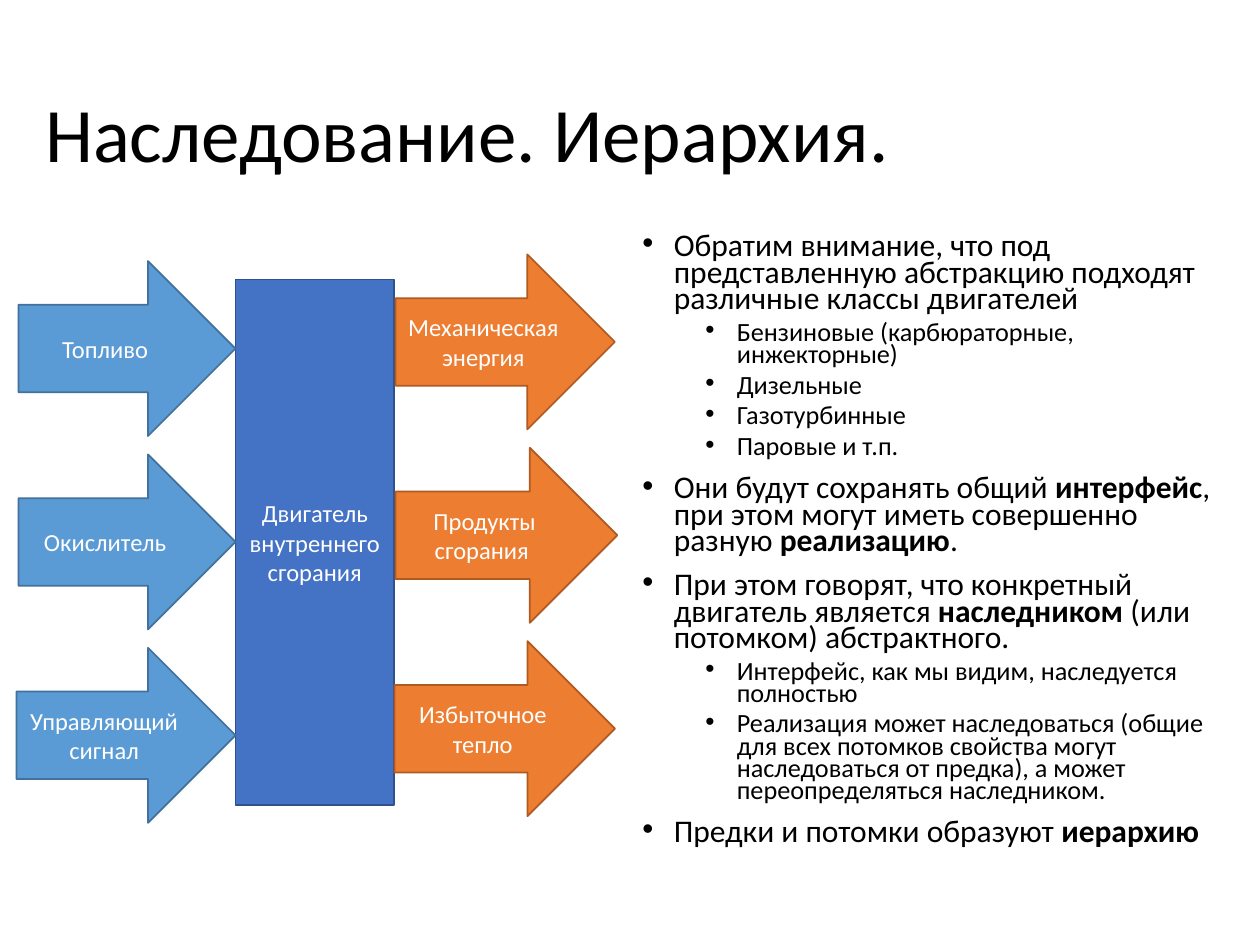
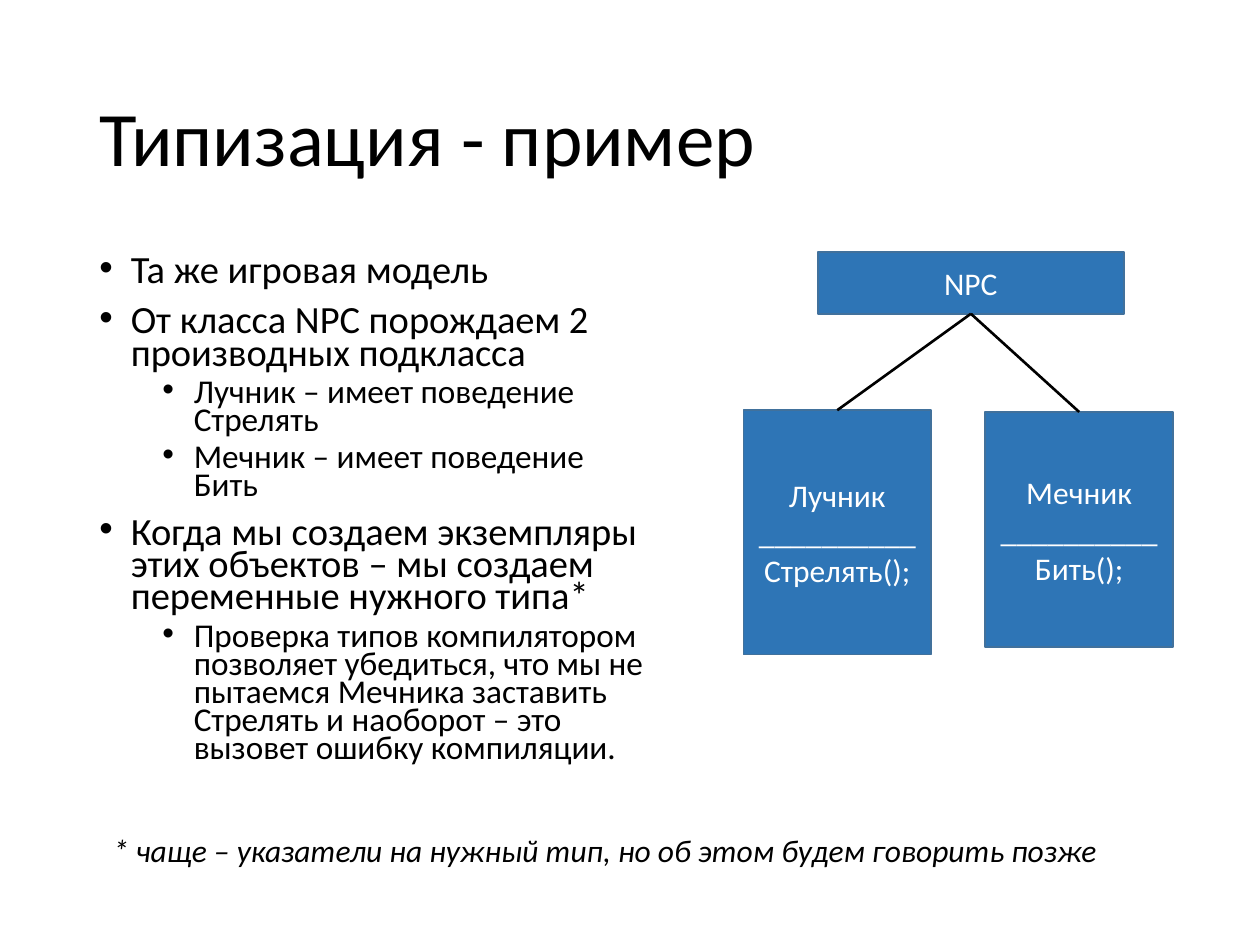
import pptx
import pptx.util
import pptx.dml.color
import pptx.enum.shapes
import pptx.enum.text
import pptx.oxml
import pptx.oxml.ns

Pt = pptx.util.Pt
ALIGN = pptx.enum.text.PP_ALIGN
ANCHOR = pptx.enum.text.MSO_ANCHOR
SHAPES = pptx.enum.shapes.MSO_SHAPE
BLACK, WHITE = "000000", "FFFFFF"
ENGINE_STYLE = {"fill": "4472C4", "line": "2F528F", "size": 14}
INPUT_STYLE = {"fill": "5B9BD5", "line": "41719C", "size": 14}
OUTPUT_STYLE = {"fill": "ED7D31", "line": "AE5A21", "size": 14}
CLASS_STYLE = {"fill": "2E75B6", "line": "41719C", "size": 18}


def color(value):
    return pptx.dml.color.RGBColor.from_string(value)


def write(shape, texts, layout, font, ink, anchor=ANCHOR.TOP):
    frame = shape.text_frame
    frame.word_wrap = True
    frame.vertical_anchor = anchor
    for index, text in enumerate(texts):
        paragraph = frame.paragraphs[0] if index == 0 else frame.add_paragraph()
        for name, value in layout.items():
            setattr(paragraph, name, value)
        for part, words in enumerate(text.split("**")):
            if words:
                run = paragraph.add_run()
                run.text = words
                for name, value in {"name": "Calibri", "bold": part % 2 == 1, **font}.items():
                    setattr(run.font, name, value)
                run.font.color.rgb = color(ink)


presentation = pptx.Presentation()
presentation.slide_width = Pt(720)
presentation.slide_height = Pt(540)

pages = [
    {
        "title": "Наследование. Иерархия.",
        "title_place": (18.7, 26.6, 620.6, 104.4),
        "body_place": (360, 131, 350.6, 380.2),
        "sizes": (18, 15),
        "body": [
            (0, "Обратим внимание, что под представленную абстракцию подходят различные классы двигателей"),
            (1, "Бензиновые (карбюраторные, инжекторные)"),
            (1, "Дизельные"),
            (1, "Газотурбинные"),
            (1, "Паровые и т.п."),
            (0, "Они будут сохранять общий **интерфейс**, при этом могут иметь совершенно разную **реализацию**."),
            (0, "При этом говорят, что конкретный двигатель является **наследником **(или потомком) абстрактного."),
            (1, "Интерфейс, как мы видим, наследуется полностью"),
            (1, "Реализация может наследоваться (общие для всех потомков свойства могут "
                "наследоваться от предка), а может переопределяться наследником."),
            (0, "Предки и потомки образуют **иерархию**"),
        ],
    },
    {
        "title": "Типизация - пример",
        "title_place": (49.7, 28.8, 621.4, 104.4),
        "body_place": (49.7, 144, 328.3, 342.7),
        "sizes": (22, 19),
        "body": [
            (0, "Та же игровая модель"),
            (0, "От класса NPC порождаем 2 производных подкласса"),
            (1, "Лучник – имеет поведение Стрелять"),
            (1, "Мечник – имеет поведение Бить"),
            (0, "Когда мы создаем экземпляры этих объектов – мы создаем переменные нужного типа*"),
            (1, "Проверка типов компилятором позволяет убедиться, что мы не пытаемся Мечника "
                "заставить Стрелять и наоборот – это вызовет ошибку компиляции."),
        ],
    },
]

slides = []
for page in pages:
    slide = presentation.slides.add_slide(presentation.slide_layouts[6])
    slides.append(slide)
    title = slide.shapes.add_textbox(*map(Pt, page["title_place"]))
    write(title, [page["title"]], {"line_spacing": 0.9}, {"size": Pt(44)}, BLACK, ANCHOR.MIDDLE)

    body = slide.shapes.add_textbox(*map(Pt, page["body_place"]))
    write(body, [text for level, text in page["body"]], {"line_spacing": 0.7}, {}, BLACK)
    for index, (level, text) in enumerate(page["body"]):
        paragraph = body.text_frame.paragraphs[index]
        paragraph.level = level
        paragraph.space_before = Pt((10, 5)[level] if index else 0)
        for run in paragraph.runs:
            run.font.size = Pt(page["sizes"][level])
        properties = paragraph._p.get_or_add_pPr()
        properties.set("marL", str(Pt((18, 54)[level])))
        properties.set("indent", str(-Pt(18)))
        for bullet in ('buFont {} typeface="Arial"', 'buChar {} char="•"'):
            markup = bullet.format(pptx.oxml.ns.nsdecls("a"))
            properties.append(pptx.oxml.parse_xml(f"<a:{markup}/>"))

hierarchy_slide, typing_slide = slides

blocks = [
    (hierarchy_slide, SHAPES.RECTANGLE, (134.6, 159.8, 90.7, 300.2), ENGINE_STYLE,
     ["Двигатель", "внутреннего сгорания"]),
    (typing_slide, SHAPES.RECTANGLE, (467.3, 144, 175, 35.3), CLASS_STYLE, ["NPC"]),
    (typing_slide, SHAPES.RECTANGLE, (424.8, 234.4, 107.3, 139.7), CLASS_STYLE,
     ["Лучник", "__________", "Стрелять();"]),
    (typing_slide, SHAPES.RECTANGLE, (563, 235.4, 107.3, 134.6), CLASS_STYLE,
     ["Мечник", "__________", "Бить();"]),
]
arrow_columns = [
    (145.4, OUTPUT_STYLE, [(226.1, 125.3, "Механическая энергия"),
                           (226.1, 126.7, "Продукты сгорания "),
                           (225.4, 126, "Избыточное тепло")]),
    (149.2, INPUT_STYLE, [(10.6, 124, "Топливо"),
                          (10.6, 124, "Окислитель"),
                          (9.4, 125.2, "Управляющий сигнал")]),
]
for top, style, arrows in arrow_columns:
    for row, (left, width, label) in enumerate(arrows):
        place = (left, top + row * 110.5, width, 100)
        blocks.append((hierarchy_slide, SHAPES.RIGHT_ARROW, place, style, [label]))

shapes = {}
for slide, kind, place, style, texts in blocks:
    shape = slide.shapes.add_shape(kind, *map(Pt, place))
    shape.shadow.inherit = False
    shape.fill.solid()
    shape.fill.fore_color.rgb = color(style["fill"])
    shape.line.color.rgb = color(style["line"])
    shape.line.width = Pt(1)
    write(shape, texts, {"alignment": ALIGN.CENTER}, {"size": Pt(style["size"])}, WHITE, ANCHOR.MIDDLE)
    shapes[texts[0]] = shape

for subclass in ("Лучник", "Мечник"):
    connector = typing_slide.shapes.add_connector(pptx.enum.shapes.MSO_CONNECTOR.STRAIGHT, 0, 0, 0, 0)
    connector.begin_connect(shapes[subclass], 0)
    connector.end_connect(shapes["NPC"], 2)
    connector.line.color.rgb = color(BLACK)
    connector.line.width = Pt(1.5)
    effects = pptx.oxml.parse_xml(f'<a:effectLst {pptx.oxml.ns.nsdecls("a")}/>')
    connector._element.spPr.append(effects)

footnote = typing_slide.shapes.add_textbox(Pt(57.6), Pt(471.6), Pt(589), Pt(28.8))
write(footnote, ["* чаще – указатели на нужный тип, но об этом будем говорить позже"],
      {}, {"size": Pt(18), "italic": True}, BLACK)

presentation.save("out.pptx")
